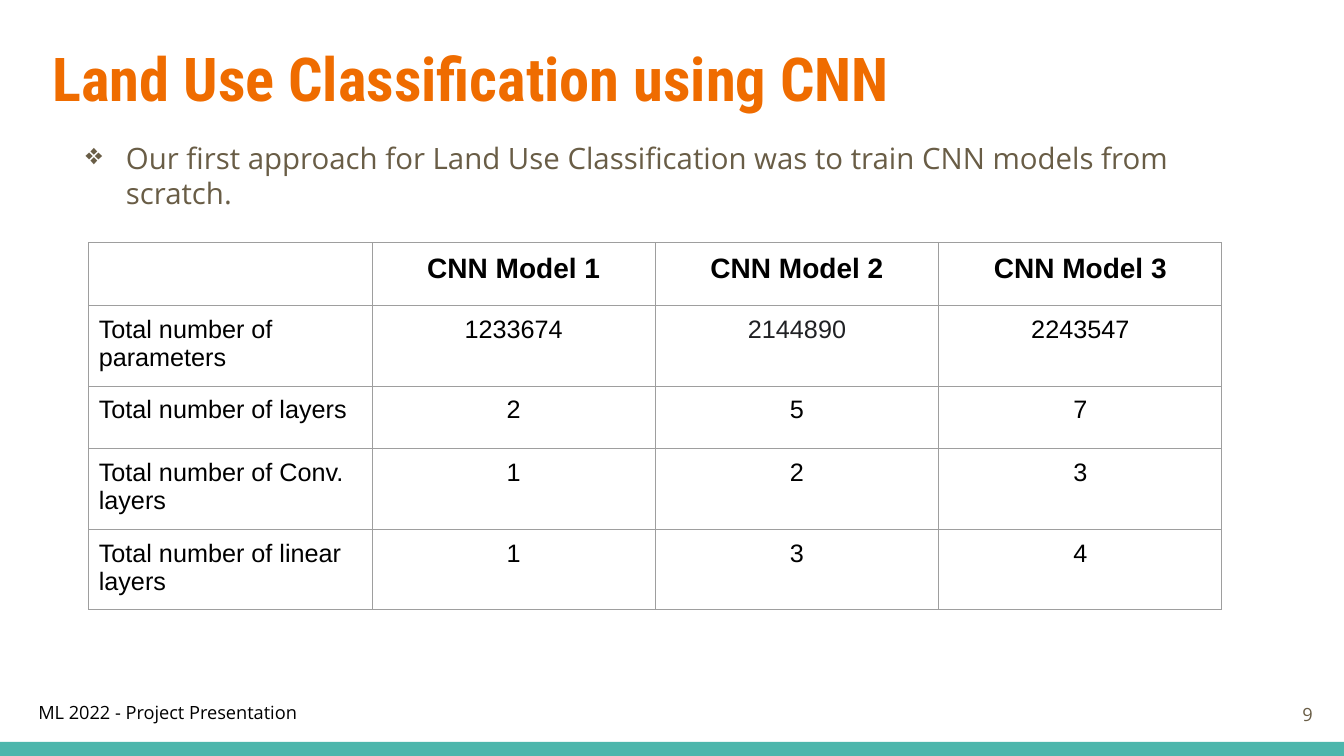
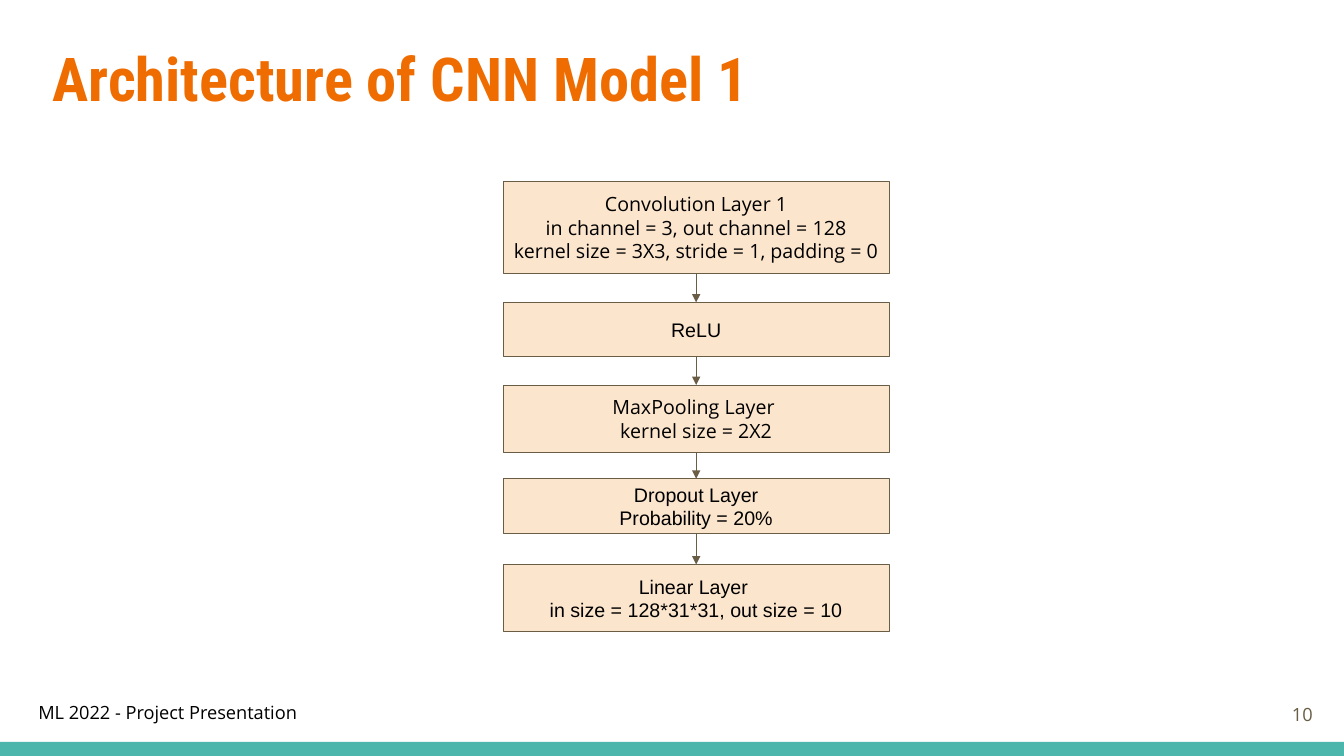
from dataclasses import dataclass
from itertools import pairwise

from lxml.etree import SubElement
from pptx import Presentation
from pptx.dml.color import RGBColor
from pptx.enum.shapes import MSO_CONNECTOR, MSO_SHAPE
from pptx.enum.text import MSO_ANCHOR, PP_ALIGN
from pptx.oxml.ns import qn
from pptx.util import Inches, Pt


@dataclass(frozen=True)
class Theme:
    orange: str = "EF6C00"
    teal: str = "4DB6AC"
    brown: str = "695D46"
    peach: str = "FCE5CD"
    grid: str = "9E9E9E"
    black: str = "000000"
    charcoal: str = "202124"
    title_font: str = "Roboto Condensed"
    body_font: str = "Open Sans"
    plain_font: str = "Arial"
    title_size: float = 43.2
    bullet_size: float = 21
    header_size: float = 20
    cell_size: float = 18
    box_size: float = 14
    footer_size: float = 13
    line_width: float = 0.75


THEME = Theme()

# Content
FOOTER = "ML 2022 - Project Presentation"
FIRST_NUMBER = 9

COMPARISON_TITLE = "Land Use Classification using CNN"
APPROACH = "Our first approach for Land Use Classification was to train CNN models from scratch."
MODELS = [
    ("", "CNN Model 1", "CNN Model 2", "CNN Model 3"),
    ("Total number of parameters", "1233674", "2144890", "2243547"),
    ("Total number of layers", "2", "5", "7"),
    ("Total number of Conv. layers", "1", "2", "3"),
    ("Total number of linear layers", "1", "3", "4"),
]
CHARCOAL_CELL = (1, 2)

ARCHITECTURE_TITLE = "Architecture of CNN Model 1"
# Top, height, font, lines
LAYERS = [
    (1.8, 0.91, THEME.body_font, ["Convolution Layer 1", "in channel = 3, out channel = 128",
                                  "kernel size = 3X3, stride = 1, padding = 0"]),
    (3, 0.54, THEME.plain_font, ["ReLU"]),
    (3.82, 0.67, THEME.body_font, ["MaxPooling Layer ", "kernel size = 2X2"]),
    (4.75, 0.54, THEME.plain_font, ["Dropout Layer", "Probability = 20%"]),
    (5.6, 0.67, THEME.plain_font, ["Linear Layer ", "in size = 128*31*31, out size = 10"]),
]
LAYER_LEFT, LAYER_WIDTH = 4.99, 3.83


# Helpers
def rgb(color):
    return RGBColor.from_string(color)


def add_span(para, text, font, size, color, bold=False):
    span = para.add_run()
    span.text = text
    span.font.name = font
    span.font.size = Pt(size)
    span.font.color.rgb = rgb(color)
    span.font.bold = bold


def set_frame(frame, inset, anchor):
    frame.word_wrap = True
    frame.margin_left = frame.margin_right = Inches(inset)
    frame.margin_top = frame.margin_bottom = Inches(inset)
    frame.vertical_anchor = anchor


def add_text(page, place, text, font, size, color, bold=False, inset=0.13,
             align=PP_ALIGN.LEFT, anchor=MSO_ANCHOR.TOP):
    box = page.shapes.add_textbox(*map(Inches, place))
    set_frame(box.text_frame, inset, anchor)
    para = box.text_frame.paragraphs[0]
    para.alignment = align
    add_span(para, text, font, size, color, bold)
    return para


def add_bullet(para, character, color):
    properties = para._p.get_or_add_pPr()
    properties.set("marL", str(Inches(0.5)))
    properties.set("indent", str(Inches(-0.4)))
    bullet_color = SubElement(properties, qn("a:buClr"))
    SubElement(bullet_color, qn("a:srgbClr"), val=color)
    SubElement(properties, qn("a:buChar"), char=character)


def add_borders(cell):
    properties = cell._tc.get_or_add_tcPr()
    for side in ("lnL", "lnR", "lnT", "lnB"):
        border = SubElement(properties, qn(f"a:{side}"), w=str(Pt(THEME.line_width)))
        fill = SubElement(border, qn("a:solidFill"))
        SubElement(fill, qn("a:srgbClr"), val=THEME.grid)


def add_rectangle(page, place, fill, shape=MSO_SHAPE.RECTANGLE):
    box = page.shapes.add_shape(shape, *map(Inches, place))
    box.shadow.inherit = False
    box.fill.solid()
    box.fill.fore_color.rgb = rgb(fill)
    box.line.fill.background()
    return box


def add_arrow(page, upper, lower):
    arrow = page.shapes.add_connector(MSO_CONNECTOR.STRAIGHT, 0, 0, 0, 0)
    arrow.begin_connect(upper, 2)
    arrow.end_connect(lower, 0)
    arrow.line.color.rgb = rgb(THEME.brown)
    arrow.line.width = Pt(THEME.line_width)
    SubElement(arrow.line._get_or_add_ln(), qn("a:tailEnd"), type="triangle")
    SubElement(arrow._element.spPr, qn("a:effectLst"))


# Parts shared by every slide
def add_page(deck, title):
    page = deck.slides.add_slide(deck.slide_layouts[6])
    number = FIRST_NUMBER + len(deck.slides) - 1
    add_text(page, (0.25, 6.85, 2.88, 0.49), FOOTER, THEME.body_font,
             THEME.footer_size, THEME.black)
    add_rectangle(page, (0, 7.36, 13.33, 0.14), THEME.teal)
    add_text(page, (0.39, 0.28, 12.42, 0.85), title, THEME.title_font,
             THEME.title_size, THEME.orange, bold=True)
    add_text(page, (12.39, 6.8, 0.76, 0.57), str(number), THEME.body_font,
             THEME.footer_size, THEME.brown, align=PP_ALIGN.RIGHT, anchor=MSO_ANCHOR.MIDDLE)
    return page


# Model comparison
def add_model_table(page):
    row_count, column_count = len(MODELS), len(MODELS[0])
    table = page.shapes.add_table(row_count, column_count, Inches(0.88), Inches(2.41),
                                  Inches(2.81 * column_count),
                                  Inches(0.62 * row_count)).table
    table.horz_banding = False
    for row, values in enumerate(MODELS):
        for column, value in enumerate(values):
            cell = table.cell(row, column)
            add_borders(cell)
            cell.fill.background()
            cell.margin_left = cell.margin_right = Inches(0.1)
            cell.margin_top = cell.margin_bottom = Inches(0.1)
            if not value:
                continue
            para = cell.text_frame.paragraphs[0]
            para.alignment = PP_ALIGN.CENTER if column else PP_ALIGN.LEFT
            size = THEME.cell_size if row else THEME.header_size
            color = THEME.charcoal if (row, column) == CHARCOAL_CELL else THEME.black
            add_span(para, value, THEME.plain_font, size, color, bold=row == 0)


def build_comparison(deck):
    page = add_page(deck, COMPARISON_TITLE)
    add_model_table(page)
    para = add_text(page, (0.65, 1.29, 11.48, 0.91), APPROACH, THEME.body_font,
                    THEME.bullet_size, THEME.brown, inset=0.1)
    add_bullet(para, "❖", THEME.brown)


# Layer flow
def add_layer(page, top, height, font, lines):
    box = add_rectangle(page, (LAYER_LEFT, top, LAYER_WIDTH, height), THEME.peach,
                        MSO_SHAPE.FLOWCHART_PROCESS)
    box.line.color.rgb = rgb(THEME.brown)
    box.line.width = Pt(THEME.line_width)
    frame = box.text_frame
    set_frame(frame, 0.1, MSO_ANCHOR.MIDDLE)
    for index, line in enumerate(lines):
        para = frame.add_paragraph() if index else frame.paragraphs[0]
        para.alignment = PP_ALIGN.CENTER
        add_span(para, line, font, THEME.box_size, THEME.black)
    return box


def build_architecture(deck):
    page = add_page(deck, ARCHITECTURE_TITLE)
    boxes = [add_layer(page, *layer) for layer in LAYERS]
    for upper, lower in pairwise(boxes):
        add_arrow(page, upper, lower)


def main():
    deck = Presentation()
    deck.slide_width, deck.slide_height = Inches(13.33), Inches(7.5)
    build_comparison(deck)
    build_architecture(deck)
    deck.save("out.pptx")


if __name__ == "__main__":
    main()
